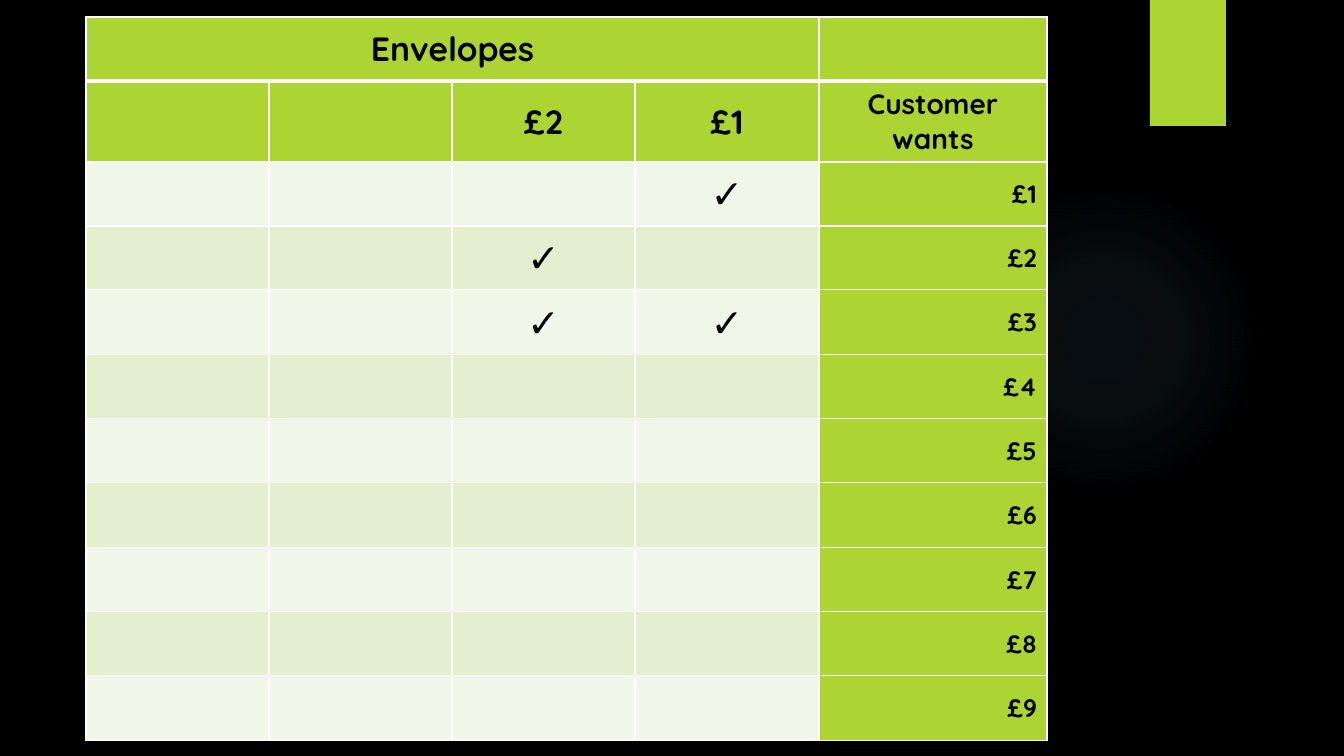
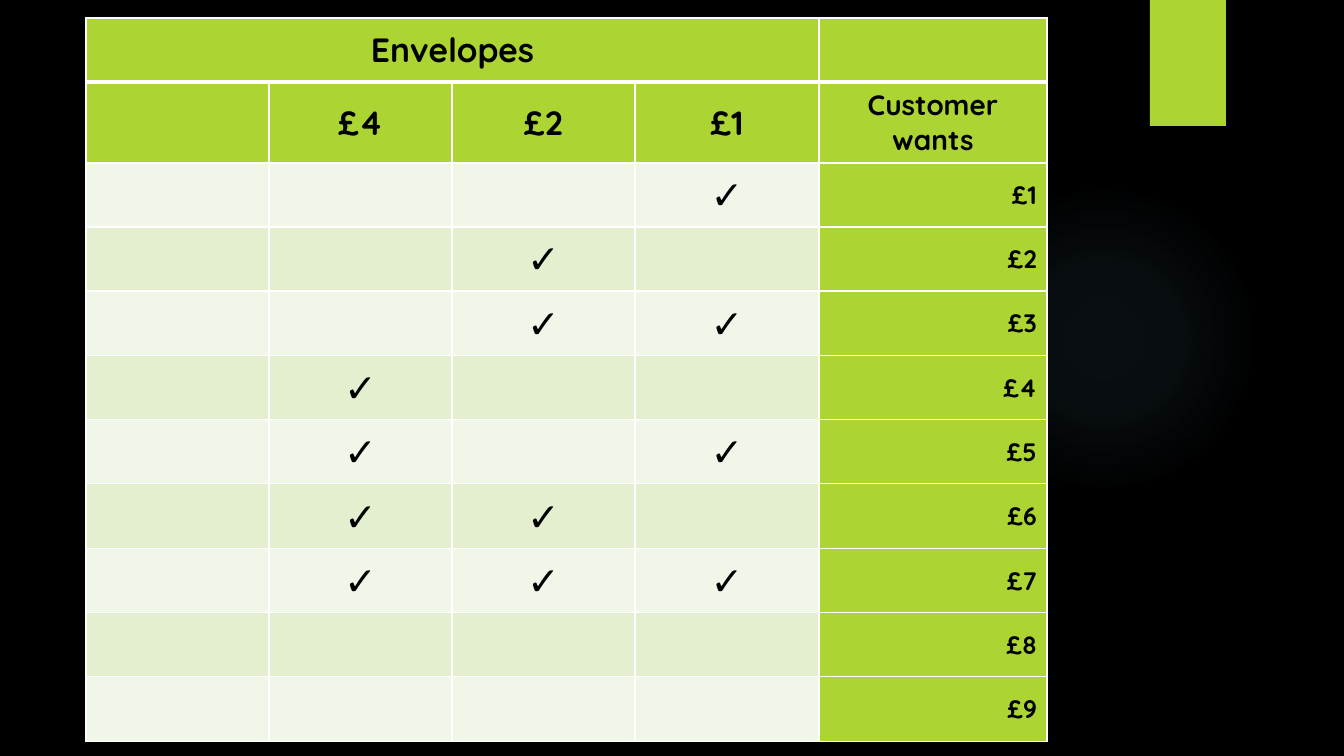
from dataclasses import dataclass

from lxml.etree import SubElement
from pptx import Presentation
from pptx.dml.color import RGBColor
from pptx.enum.shapes import MSO_SHAPE as Shape
from pptx.enum.text import MSO_ANCHOR as Anchor, PP_ALIGN as Align
from pptx.oxml import parse_xml
from pptx.oxml.ns import nsdecls, qn
from pptx.util import Emu, Pt

WIDE, HIGH = 1344, 756
SCALE = 12192000 / WIDE
FONT = "Quicksand"
TICK = "✓"
COLORS = {
    "back": "000000",
    "text": "000000",
    "lime": "ACD433",
    "pale": "F1F7E8",
    "soft": "E3EFCE",
    "rule": "FFFFFF",
    "glow": "7AC4F0",
}
# Glow stops: position and opacity in percent
GLOW = ((0, 7), (36, 6), (69, 0), (100, 0))


@dataclass
class Style:
    size: int
    bold: bool = True
    align: Align = Align.CENTER


@dataclass
class Sheet:
    top: int
    coins: tuple[int, ...]  # envelope values, 0 for one not yet found


HEAD = Style(24)
WANT = Style(20)
MARK = Style(28, bold=False)
COST = Style(18, align=Align.RIGHT)

SHEETS = (
    Sheet(17, (0, 0, 2, 1)),
    Sheet(18, (0, 4, 2, 1)),
)
COSTS = range(1, 10)


def px(num: int) -> Emu:
    return Emu(round(num * SCALE))


def rgb(name: str) -> RGBColor:
    return RGBColor.from_string(COLORS[name])


def split(total: int, count: int) -> list[int]:
    """Share a length in whole px among equal parts."""
    cuts = [total * i // count for i in range(count + 1)]
    return [b - a for a, b in zip(cuts, cuts[1:])]


# Backdrop shared by the slides
def add_plain(slide, kind: Shape, left: int, top: int, wide: int, high: int):
    shape = slide.shapes.add_shape(kind, px(left), px(top), px(wide), px(high))
    shape.shadow.inherit = False
    shape.line.fill.background()
    shape.fill.solid()
    shape.fill.fore_color.rgb = rgb("lime")
    return shape


def add_glow(slide) -> None:
    disc = add_plain(slide, Shape.OVAL, 949, 184, 310, 310)
    stops = "".join(
        f'<a:gs pos="{pos * 1000}"><a:srgbClr val="{COLORS["glow"]}">'
        f'<a:alpha val="{alpha * 1000}"/></a:srgbClr></a:gs>'
        for pos, alpha in GLOW
    )
    fade = parse_xml(
        f'<a:gradFill {nsdecls("a")}><a:gsLst>{stops}</a:gsLst><a:path path="circle">'
        '<a:fillToRect l="50000" t="50000" r="50000" b="50000"/></a:path></a:gradFill>'
    )
    props = disc.element.spPr
    props.replace(props.find(qn("a:solidFill")), fade)


# Table cells
def add_edges(cell, row: int) -> None:
    props = cell._tc.get_or_add_tcPr()
    widths = {"L": 1, "R": 1, "T": 3 if row == 1 else 1, "B": 3 if row == 0 else 1}
    for side, width in widths.items():
        edge = SubElement(props, qn(f"a:ln{side}"), w=str(Pt(width)))
        fill = SubElement(edge, qn("a:solidFill"))
        SubElement(fill, qn("a:srgbClr"), val=COLORS["rule"])


def write(cell, text: str, style: Style) -> None:
    para = cell.text_frame.paragraphs[0]
    para.alignment = style.align
    run = para.add_run()
    run.text = text
    run.font.name = FONT
    run.font.size = Pt(style.size)
    run.font.bold = style.bold
    run.font.color.rgb = rgb("text")


def add_grid(slide, sheet: Sheet) -> None:
    last = len(sheet.coins)
    cols = split(733, last) + [228]
    rows = [64, 81] + split(579, len(COSTS))
    frame = slide.shapes.add_table(
        len(rows), len(cols), px(86), px(sheet.top), px(sum(cols)), px(sum(rows))
    )
    grid = frame.table
    grid.first_row = grid.horz_banding = False
    for col, wide in zip(grid.columns, cols):
        col.width = px(wide)
    for row, high in zip(grid.rows, rows):
        row.height = px(high)

    # Fills and borders
    for r in range(len(rows)):
        for c in range(len(cols)):
            cell = grid.cell(r, c)
            add_edges(cell, r)
            cell.vertical_anchor = Anchor.MIDDLE
            tone = "lime" if r < 2 or c == last else ("pale", "soft")[r % 2]
            cell.fill.solid()
            cell.fill.fore_color.rgb = rgb(tone)

    # Headings
    grid.cell(0, 0).merge(grid.cell(0, last - 1))
    write(grid.cell(0, 0), "Envelopes", HEAD)
    write(grid.cell(1, last), "Customer wants", WANT)
    for c, coin in enumerate(sheet.coins):
        if coin:
            write(grid.cell(1, c), f"£{coin}", HEAD)

    # Each cost is ticked as a binary sum of the known envelopes
    for r, cost in enumerate(COSTS, 2):
        write(grid.cell(r, last), f"£{cost}", COST)
        if cost <= sum(sheet.coins):
            for c, coin in enumerate(sheet.coins):
                if cost & coin:
                    write(grid.cell(r, c), TICK, MARK)


def main() -> None:
    deck = Presentation()
    deck.slide_width, deck.slide_height = px(WIDE), px(HIGH)
    back = deck.slide_master.background.fill
    back.solid()
    back.fore_color.rgb = rgb("back")
    for sheet in SHEETS:
        slide = deck.slides.add_slide(deck.slide_layouts[6])
        add_glow(slide)
        add_plain(slide, Shape.RECTANGLE, 1150, 0, 76, 126)
        add_grid(slide, sheet)
    deck.save("out.pptx")


if __name__ == "__main__":
    main()
